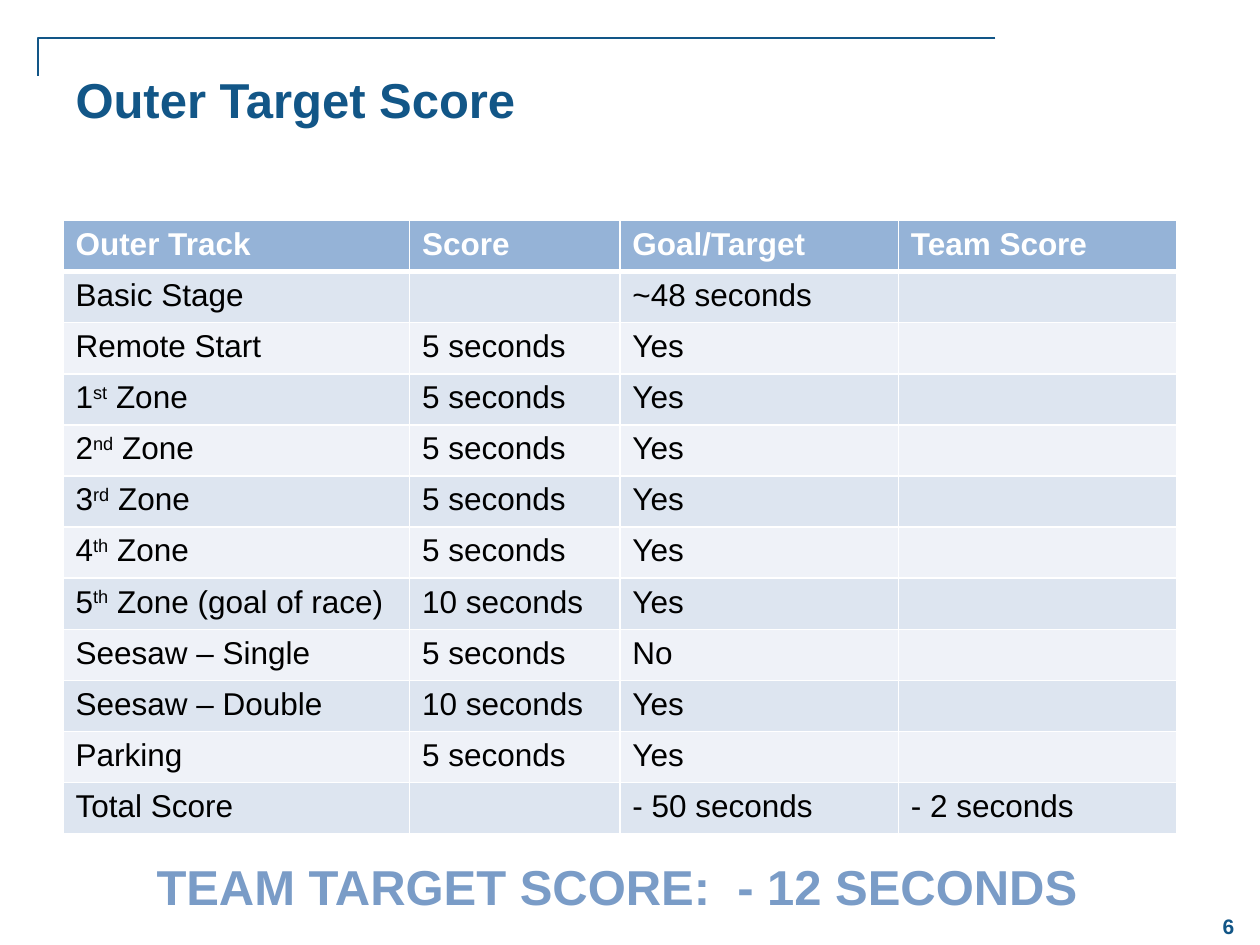
from lxml import etree
from pptx import Presentation
from pptx.dml.color import RGBColor
from pptx.enum.text import MSO_ANCHOR, PP_ALIGN
from pptx.oxml.ns import qn
from pptx.util import Inches, Pt

CENTER, LEFT = PP_ALIGN.CENTER, PP_ALIGN.LEFT
TOP, MIDDLE = MSO_ANCHOR.TOP, MSO_ANCHOR.MIDDLE
NAVY = RGBColor(0x12, 0x56, 0x87)
STEEL = RGBColor(0x7A, 0x9C, 0xC7)
HEADER_BLUE = RGBColor(0x95, 0xB3, 0xD7)
BANDS = (RGBColor(0xDD, 0xE5, 0xF0), RGBColor(0xEF, 0xF2, 0xF8))
WHITE = RGBColor(0xFF, 0xFF, 0xFF)
BLACK = RGBColor(0x00, 0x00, 0x00)

SLIDE_WIDTH, SLIDE_HEIGHT = 10, 7.5
COLUMN_WIDTHS = (2.75, 1.67, 2.21, 2.21)
ROW_HEIGHT = 4.87 / 12
SCORES = (
    ("Outer Track", "Score", "Goal/Target", "Team Score"),
    ("Basic Stage", "", "~48 seconds", ""),
    ("Remote Start", "5 seconds", "Yes", ""),
    ("1^st^ Zone", "5 seconds", "Yes", ""),
    ("2^nd^ Zone", "5 seconds", "Yes", ""),
    ("3^rd^ Zone", "5 seconds", "Yes", ""),
    ("4^th^ Zone", "5 seconds", "Yes", ""),
    ("5^th^ Zone (goal of race)", "10 seconds", "Yes", ""),
    ("Seesaw – Single", "5 seconds", "No", ""),
    ("Seesaw – Double", "10 seconds", "Yes", ""),
    ("Parking", "5 seconds", "Yes", ""),
    ("Total Score", "", "- 50 seconds", "- 2 seconds"),
)


def write_text(text_frame, text, size=18, color=BLACK, bold=False, align=LEFT):
    paragraph = text_frame.paragraphs[0]
    paragraph.alignment = align
    for index, piece in enumerate(text.split("^")):
        run = paragraph.add_run()
        run.text = piece
        run.font.name = "Arial"
        run.font.size = Pt(size)
        run.font.bold = bold
        run.font.color.rgb = color
        if index % 2:
            run.font._element.set("baseline", "30000")


def add_borders(cell, **widths):
    properties = cell._tc.get_or_add_tcPr()
    for side, width in widths.items():
        line = etree.SubElement(properties, qn(f"a:ln{side}"), w=str(Pt(width)))
        fill = etree.SubElement(line, qn("a:solidFill"))
        etree.SubElement(fill, qn("a:srgbClr"), val=str(WHITE))


class ScoreSlide:
    def __init__(self, presentation):
        self.width = presentation.slide_width
        self.height = presentation.slide_height
        self.slide = presentation.slides.add_slide(presentation.slide_layouts[5])

    def box(self, left, top, width, height):
        return (round(left * self.width), round(top * self.height),
                round(width * self.width), round(height * self.height))

    def title(self, text, *shares):
        shape = self.slide.shapes.title
        shape.left, shape.top, shape.width, shape.height = self.box(*shares)
        shape.text_frame.vertical_anchor = TOP
        write_text(shape.text_frame, text, size=28, color=NAVY, bold=True)

    def label(self, text, *shares, anchor=TOP, **text_format):
        shape = self.slide.shapes.add_textbox(*self.box(*shares))
        shape.text_frame.word_wrap = True
        shape.text_frame.vertical_anchor = anchor
        write_text(shape.text_frame, text, bold=True, align=CENTER, **text_format)

    def corner_line(self, *points):
        vertices = [(x * self.width, y * self.height) for x, y in points]
        builder = self.slide.shapes.build_freeform(*vertices[0])
        builder.add_line_segments(vertices[1:], close=False)
        shape = builder.convert_to_shape()
        shape.shadow.inherit = False
        shape.fill.background()
        shape.line.color.rgb = NAVY
        shape.line.width = Pt(1)

    def table(self, rows, column_widths, row_height, *shares):
        frame = self.slide.shapes.add_table(len(rows), len(column_widths), *self.box(*shares))
        table = frame.table
        for column, width in zip(table.columns, column_widths):
            column.width = Inches(width)
        for row_index, values in enumerate(rows):
            table.rows[row_index].height = Inches(row_height)
            header = row_index == 0
            for cell, value in zip(table.rows[row_index].cells, values):
                add_borders(cell, L=1, R=1, T=3 if row_index == 1 else 1, B=3 if header else 1)
                cell.fill.solid()
                cell.fill.fore_color.rgb = HEADER_BLUE if header else BANDS[(row_index - 1) % 2]
                write_text(cell.text_frame, value, bold=header, color=WHITE if header else BLACK)


def main():
    presentation = Presentation()
    presentation.slide_width = Inches(SLIDE_WIDTH)
    presentation.slide_height = Inches(SLIDE_HEIGHT)
    page = ScoreSlide(presentation)
    page.corner_line((0.79, 0.04), (0.03, 0.04), (0.03, 0.08))
    page.label("6", 0.95, 0.95, 0.05, 0.06, anchor=MIDDLE, size=12, color=NAVY)
    page.title("Outer Target Score", 0.05, 0.5 / SLIDE_HEIGHT, 0.88, 0.14)
    page.table(SCORES, COLUMN_WIDTHS, ROW_HEIGHT, 0.05, 1.75 / SLIDE_HEIGHT, 0.88, 0.65)
    page.label("TEAM TARGET SCORE:  - 12 SECONDS ", 0.09, 0.9, 0.81, 0.08, size=28, color=STEEL)
    presentation.save("out.pptx")


if __name__ == "__main__":
    main()
